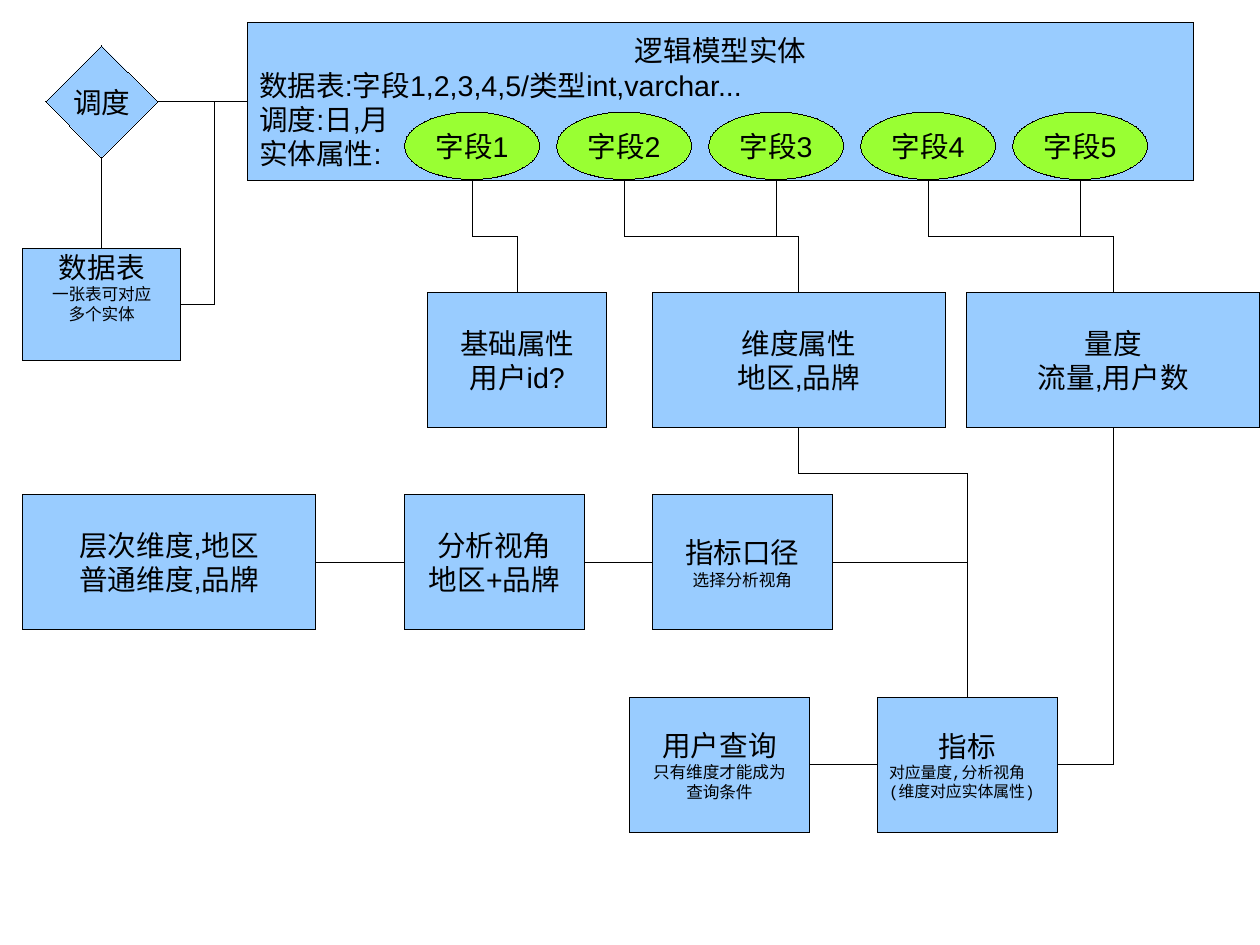
from lxml.etree import SubElement
from pptx import Presentation
from pptx.dml.color import RGBColor
from pptx.enum.shapes import MSO_CONNECTOR, MSO_SHAPE
from pptx.enum.text import MSO_ANCHOR, PP_ALIGN
from pptx.oxml.ns import qn
from pptx.util import Inches, Pt

COLORS = {"entity": "99CCFF", "field": "99FF33", "ink": "000000"}
STYLES = {
    "heading": (PP_ALIGN.CENTER, {"size": Pt(18), "name": "Arial"}),
    "body": (PP_ALIGN.LEFT, {"size": Pt(18), "name": "Arial"}),
    "note": (PP_ALIGN.CENTER, {"size": Pt(10.5), "name": "Arial"}),
    "detail": (PP_ALIGN.LEFT, {"size": Pt(10), "name": "Courier New"}),
}
FRAME = {
    "word_wrap": False,
    "vertical_anchor": MSO_ANCHOR.MIDDLE,
    "margin_left": Inches(0.1),
    "margin_right": Inches(0.1),
    "margin_top": Inches(0.05),
    "margin_bottom": Inches(0.05),
}
SITES = {"top": 0, "left": 1, "bottom": 2, "right": 3}
CENTIMETERS_PER_INCH = 2.54
HAIRLINE = Pt(0.01)
WIDE, NARROW, TALL = 2.56, 1.57, 1.18
ATTRIBUTE_ROW, ANALYSIS_ROW, QUERY_ROW = 2.56, 4.33, 6.1

BOXES = {
    "entity": (2.17, 0.2, 8.27, 1.38, [
        ("逻辑模型实体", "heading"),
        ("数据表:字段1,2,3,4,5/类型int,varchar...", "body"),
        ("调度:日,月", "body"),
        ("实体属性:", "body")]),
    "table": (0.2, 2.17, 1.38, 0.98, [
        ("数据表", "heading"), ("一张表可对应", "note"), ("多个实体", "note")]),
    "base": (3.74, ATTRIBUTE_ROW, NARROW, TALL, [
        ("基础属性", "heading"), ("用户id?", "heading")]),
    "dimension": (5.71, ATTRIBUTE_ROW, WIDE, TALL, [
        ("维度属性", "heading"), ("地区,品牌", "heading")]),
    "measure": (8.46, ATTRIBUTE_ROW, WIDE, TALL, [
        ("量度", "heading"), ("流量,用户数", "heading")]),
    "levels": (0.2, ANALYSIS_ROW, WIDE, TALL, [
        ("层次维度,地区", "heading"), ("普通维度,品牌", "heading")]),
    "view": (3.54, ANALYSIS_ROW, NARROW, TALL, [
        ("分析视角", "heading"), ("地区+品牌", "heading")]),
    "scope": (5.71, ANALYSIS_ROW, NARROW, TALL, [
        ("指标口径", "heading"), ("选择分析视角", "note")]),
    "query": (5.51, QUERY_ROW, NARROW, TALL, [
        ("用户查询", "heading"), ("只有维度才能成为", "note"), ("查询条件", "note")]),
    "indicator": (7.68, QUERY_ROW, NARROW, TALL, [
        ("指标", "heading"),
        ("对应量度,分析视角", "detail"),
        ("(维度对应实体属性)", "detail")]),
}
STRAIGHT_LINKS = [
    ("entity", "left", "schedule", "right"),
    ("table", "top", "schedule", "bottom"),
    ("levels", "right", "view", "left"),
    ("view", "right", "scope", "left"),
    ("query", "right", "indicator", "left"),
]
CORNER_LINKS = [
    ("scope", "right", "indicator", "top"),
    ("indicator", "right", "measure", "bottom"),
]
FIELD_TARGETS = ["base", "dimension", "dimension", "measure", "measure"]


def color(name):
    return RGBColor.from_string(COLORS[name])


def write_lines(frame, lines):
    for name, value in FRAME.items():
        setattr(frame, name, value)
    for index, (text, style) in enumerate(lines):
        paragraph = frame.add_paragraph() if index else frame.paragraphs[0]
        paragraph.alignment, formats = STYLES[style]
        run = paragraph.add_run()
        run.text = text
        run.font.color.rgb = color("ink")
        for name, value in formats.items():
            setattr(run.font, name, value)


def draw_outline(line):
    line.color.rgb = color("ink")
    line.width = HAIRLINE


def add_node(slide, kind, fill, left, top, width, height, lines):
    shape = slide.shapes.add_shape(
        kind, Inches(left), Inches(top), Inches(width), Inches(height))
    shape.shadow.inherit = False
    shape.fill.solid()
    shape.fill.fore_color.rgb = color(fill)
    draw_outline(shape.line)
    write_lines(shape.text_frame, lines)
    return shape


def add_link(slide, kind, start, start_side, end, end_side):
    connector = slide.shapes.add_connector(kind, 0, 0, 0, 0)
    connector.begin_connect(start, SITES[start_side])
    connector.end_connect(end, SITES[end_side])
    draw_outline(connector.line)
    SubElement(connector._element.spPr, qn("a:effectLst"))
    return connector


def add_corner_link(slide, *ends):
    connector = add_link(slide, MSO_CONNECTOR.ELBOW, *ends)
    connector._element.spPr.find(qn("a:prstGeom")).set("prst", "bentConnector2")


def add_drop_link(slide, start, end, bend=0.5):
    connector = add_link(slide, MSO_CONNECTOR.ELBOW, start, "bottom", end, "top")
    across, down = connector.width, connector.height
    connector.left += (across - down) // 2
    connector.top += (down - across) // 2
    connector.width, connector.height = down, across
    properties = connector._element.spPr
    frame = properties.find(qn("a:xfrm"))
    frame.set("rot", str(270 * 60000))
    frame.set("flipH", "1")
    geometry = properties.find(qn("a:prstGeom"))
    SubElement(geometry.find(qn("a:avLst")), qn("a:gd"),
               name="adj1", fmla=f"val {round(bend * 100000)}")
    return connector


def add_field_link(slide, field, target):
    connector = add_drop_link(slide, field, target)
    ellipse_bottom = "4"
    next(connector._element.iter(qn("a:stCxn"))).set("idx", ellipse_bottom)


def main():
    presentation = Presentation()
    presentation.slide_width = Inches(28 / CENTIMETERS_PER_INCH)
    presentation.slide_height = Inches(21 / CENTIMETERS_PER_INCH)
    slide = presentation.slides.add_slide(presentation.slide_layouts[6])

    nodes = {name: add_node(slide, MSO_SHAPE.RECTANGLE, "entity", *box)
             for name, box in BOXES.items()}
    nodes["table"].text_frame.margin_bottom = Inches(0.35)
    nodes["schedule"] = add_node(slide, MSO_SHAPE.DIAMOND, "entity",
                                 0.4, 0.4, 0.98, 0.98, [("调度", "heading")])

    for index, target in enumerate(FIELD_TARGETS):
        field = add_node(slide, MSO_SHAPE.OVAL, "field", 3.54 + 1.33 * index, 0.98,
                         1.18, 0.59, [(f"字段{index + 1}", "heading")])
        add_field_link(slide, field, nodes[target])

    for start, start_side, end, end_side in STRAIGHT_LINKS:
        add_link(slide, MSO_CONNECTOR.STRAIGHT,
                 nodes[start], start_side, nodes[end], end_side)
    for start, start_side, end, end_side in CORNER_LINKS:
        add_corner_link(slide, nodes[start], start_side, nodes[end], end_side)
    add_link(slide, MSO_CONNECTOR.ELBOW,
             nodes["entity"], "left", nodes["table"], "right")
    add_drop_link(slide, nodes["dimension"], nodes["indicator"], 0.17)

    presentation.save("out.pptx")


if __name__ == "__main__":
    main()
